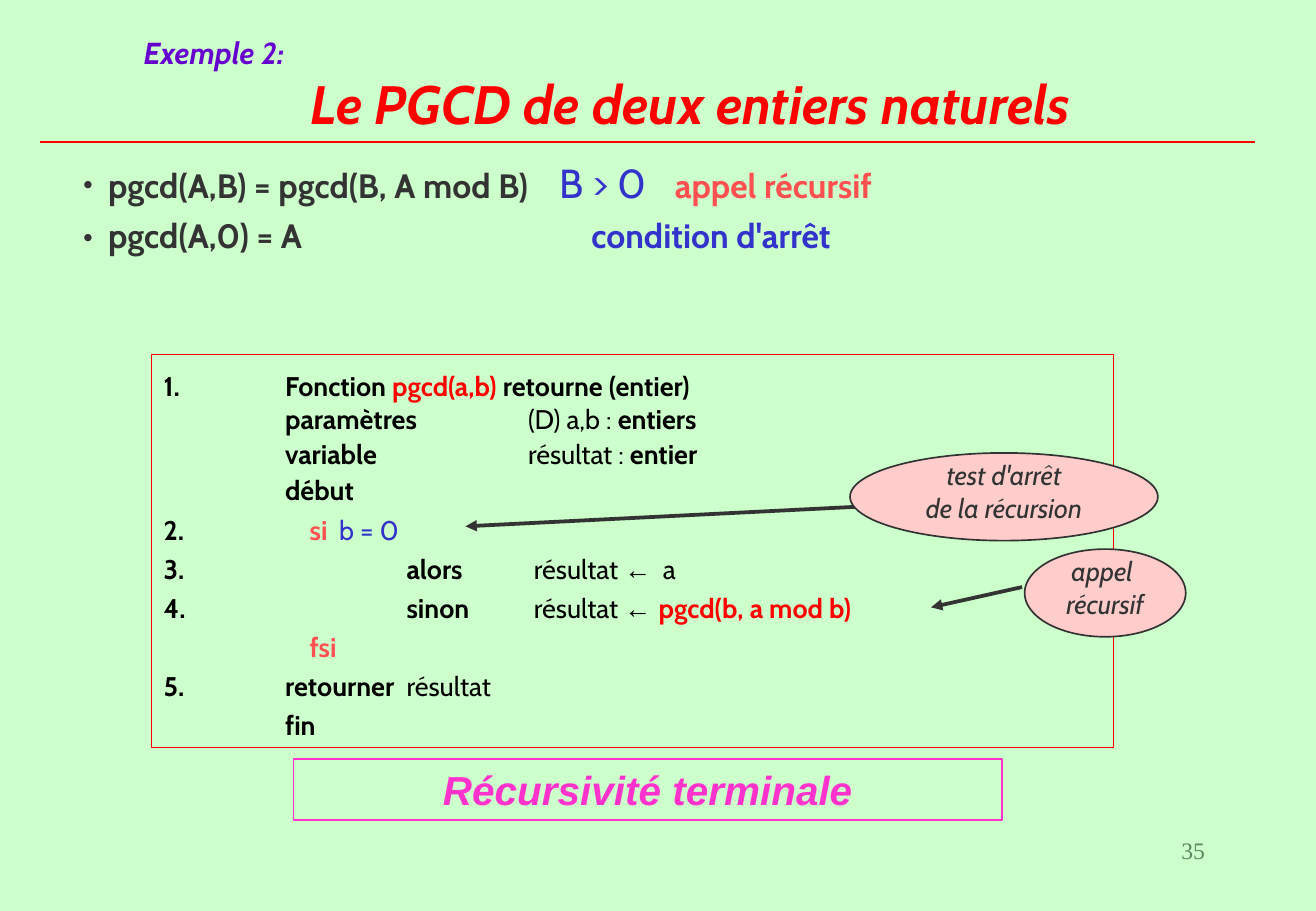
"""Build the slide on the recursive PGCD function."""
from lxml import etree
from pptx import Presentation
from pptx import util as u
from pptx.dml.color import RGBColor
from pptx.enum import shapes, text
from pptx.oxml import ns

COLOURS = {
    "page": "CCFFCC", "red": "FF0000", "coral": "FF5050", "blue": "3333CC",
    "black": "010000", "grey": "333333", "pink": "FFCCCC", "magenta": "FF33CC",
    "violet": "6600CC", "green": "578963",
}
ALIGN = {"l": text.PP_ALIGN.LEFT, "c": text.PP_ALIGN.CENTER, "r": text.PP_ALIGN.RIGHT}

STYLES = {
    "example": dict(size=18, bold=True, italic=True, color="violet"),
    "title": dict(size=32, bold=True, italic=True, color="red"),
    "rule": dict(size=20, bold=True, color="grey"),
    "case": dict(size=24, color="blue"),
    "call": dict(size=20, bold=True, color="coral"),
    "stop": dict(size=20, bold=True, color="blue"),
    "keyword": dict(size=16, bold=True, color="black"),
    "plain": dict(size=16, color="black"),
    "arrow": dict(size=16, color="black", name="Arial"),
    "name": dict(size=16, bold=True, color="red"),
    "branch": dict(size=16, bold=True, color="coral"),
    "test": dict(size=16, color="blue"),
    "note": dict(size=16, italic=True, color="grey"),
    "conclusion": dict(size=24, bold=True, italic=True, color="magenta", name="Arial"),
    "number": dict(size=14, color="green", name="Times New Roman"),
}

TITLE = [
    dict(runs=[("Exemple 2:", "example")]),
    dict(runs=[("Le PGCD de deux entiers naturels", "title")], align="c"),
]
DEFINITION = [
    dict(runs=[("pgcd(A,B) = pgcd(B, A mod B)", "rule"), ("\tB > 0", "case"),
               ("\tappel récursif", "call")], tabs=(282.5, 351), bullet=15),
    dict(runs=[("pgcd(A,0) = A", "rule"), ("\tcondition d'arrêt", "stop")],
         tabs=(301.5,), bullet=15, before=5),
]
CODE = [
    dict(runs=[("1.\tFonction ", "keyword"), ("pgcd(a,b)", "name"),
               (" retourne (entier)", "keyword")], tabs=(72,), spacing=1.3),
    dict(runs=[("\tparamètres\t", "keyword"), ("(D) a,b : ", "plain"),
               ("entiers", "keyword")], tabs=(72, 216), spacing=0.8),
    dict(runs=[("\tvariable\t", "keyword"), ("résultat : ", "plain"),
               ("entier", "keyword")], tabs=(72, 216), spacing=0.9),
    dict(runs=[("\tdébut", "keyword")], tabs=(72,), spacing=0.9),
    dict(runs=[("2.", "keyword"), ("\tsi", "branch"), ("\tb = 0", "test")],
         tabs=(86.5, 104)),
    dict(runs=[("3.\talors", "keyword"), ("\trésultat ", "plain"), ("←", "arrow"),
               ("\ta", "plain")], tabs=(144, 219.5, 296)),
    dict(runs=[("4.\tsinon", "keyword"), ("\trésultat ", "plain"), ("← ", "arrow"),
               ("pgcd(b, a mod b)", "name")], tabs=(144, 219.5)),
    dict(runs=[("\tfsi", "branch")], tabs=(86.5,)),
    dict(runs=[("5.\tretourner", "keyword"), ("\trésultat", "plain")], tabs=(72, 144)),
    dict(runs=[("\tfin", "keyword")], tabs=(72,)),
]
CODE = [dict(line, before=4 if row else 0) for row, line in enumerate(CODE)]
CONCLUSION = [dict(runs=[("Récursivité terminale", "conclusion")], align="c")]
NUMBER = [dict(runs=[("35", "number")], align="r")]
CALLOUTS = [
    (("appel ", "récursif"), (607.5, 325.5, 95.5, 52)),
    (("test d'arrêt", "de la récursion"), (504, 268.5, 182.5, 52)),
]
ARROWS = [(276, 312, 516, 300), (552, 360, 606, 348)]


def colour(key):
    return RGBColor.from_string(COLOURS[key])


def points(values):
    return [u.Pt(value) for value in values]


def add_child(parent, tag, **attributes):
    return etree.SubElement(parent, ns.qn(tag), {k: str(v) for k, v in attributes.items()})


def write(shape, lines, anchor=text.MSO_ANCHOR.TOP, wrap=True):
    frame = shape.text_frame
    layout = dict(word_wrap=wrap, auto_size=text.MSO_AUTO_SIZE.NONE, vertical_anchor=anchor)
    for key, value in layout.items():
        setattr(frame, key, value)
    for row, line in enumerate(lines):
        paragraph = frame.add_paragraph() if row else frame.paragraphs[0]
        properties = paragraph._p.get_or_add_pPr()
        if "bullet" in line:
            indent = u.Pt(line["bullet"])
            properties.set("marL", str(indent))
            properties.set("indent", str(-indent))
            add_child(properties, "a:buFont", typeface="Cabin")
            add_child(properties, "a:buChar", char="•")
        if "tabs" in line:
            stops = add_child(properties, "a:tabLst")
            for stop in points(line["tabs"]):
                add_child(stops, "a:tab", pos=stop, algn="l")
        spacing = dict(alignment=ALIGN[line.get("align", "l")],
                       line_spacing=line.get("spacing", 1.0),
                       space_before=u.Pt(line.get("before", 0)))
        for key, value in spacing.items():
            setattr(paragraph, key, value)
        for words, style in line["runs"]:
            run = paragraph.add_run()
            run.text = words
            font = dict(dict(name="Cabin", bold=False, italic=False), **STYLES[style])
            run.font.color.rgb = colour(font.pop("color"))
            font["size"] = u.Pt(font["size"])
            for key, value in font.items():
                setattr(run.font, key, value)


def add_panel(slide, kind, box, edge, width, fill=None):
    panel = slide.shapes.add_shape(kind, *points(box))
    panel.shadow.inherit = False
    if fill:
        panel.fill.solid()
        panel.fill.fore_color.rgb = colour(fill)
    else:
        panel.fill.background()
    panel.line.color.rgb = colour(edge)
    panel.line.width = u.Pt(width)
    return panel


def add_line(slide, ends, edge, width, arrow=False):
    line = slide.shapes.add_connector(shapes.MSO_CONNECTOR.STRAIGHT, *points(ends))
    line.line.color.rgb = colour(edge)
    line.line.width = u.Pt(width)
    if arrow:
        add_child(line.line._get_or_add_ln(), "a:headEnd", type="triangle")
    add_child(line._element.spPr, "a:effectLst")


def main():
    deck = Presentation()
    deck.slide_width, deck.slide_height = points((780.25, 540))
    slide = deck.slides.add_slide(deck.slide_layouts[5])
    slide.background.fill.solid()
    slide.background.fill.fore_color.rgb = colour("page")
    rectangle, oval = shapes.MSO_SHAPE.RECTANGLE, shapes.MSO_SHAPE.OVAL

    title = slide.shapes.title
    title.left, title.top, title.width, title.height = points((78, 18, 663, 66))
    write(title, TITLE, text.MSO_ANCHOR.BOTTOM)
    add_line(slide, (24, 84, 744, 84), "red", 1)

    write(add_panel(slide, rectangle, (90, 210, 570, 233), "red", 0.5), CODE)
    write(slide.shapes.add_textbox(*points((42, 90, 708, 90))), DEFINITION)

    for ends in ARROWS:
        add_line(slide, ends, "grey", 2.25, arrow=True)
    for words, box in CALLOUTS:
        lines = [dict(runs=[(word, "note")], align="c", spacing=0.5, before=10 if row else 0)
                 for row, word in enumerate(words)]
        callout = add_panel(slide, oval, box, "grey", 1, "pink")
        write(callout, lines, text.MSO_ANCHOR.MIDDLE, wrap=False)

    write(add_panel(slide, rectangle, (174, 450, 420, 36), "magenta", 1), CONCLUSION)
    write(slide.shapes.add_textbox(*points((558.5, 492, 163, 36))), NUMBER)
    deck.save("out.pptx")


if __name__ == "__main__":
    main()
